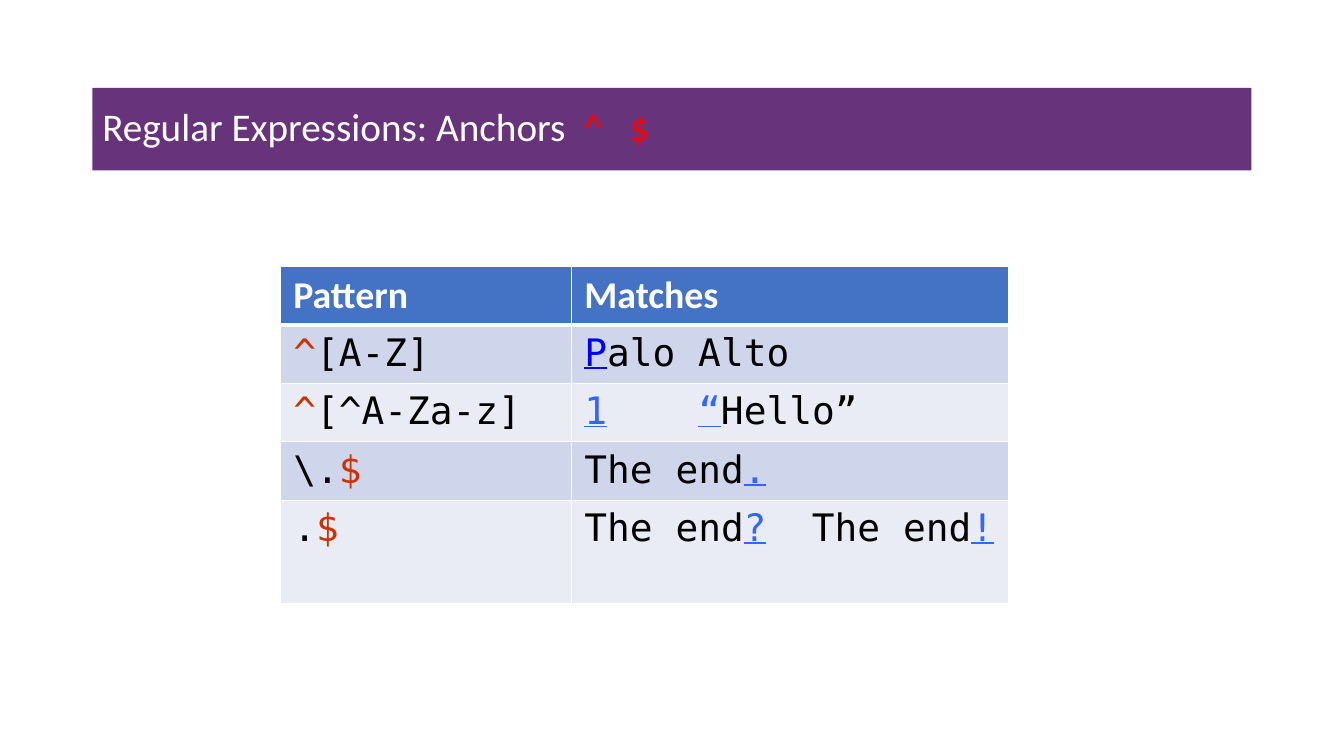
import pptx
import pptx.util
import pptx.dml.color
import pptx.enum.shapes
import pptx.enum.text
import pptx.oxml.ns
from lxml import etree

Pt = pptx.util.Pt
COLORS = {
    "white": "FFFFFF", "black": "000000", "purple": "67337A",
    "header": "4472C4", "odd": "CFD5EA", "even": "E9EBF5",
    "red": "FF0000", "anchor": "CC3300", "link": "0000FF", "match": "3366FF",
}
MONO = "DejaVu Sans Mono"


def rgb(name):
    return pptx.dml.color.RGBColor.from_string(COLORS[name])


def write_runs(paragraph, pieces, font, size, tabs=()):
    """Add (text, color) runs, underlining matches, and set tab stops in points."""
    for text, color in pieces:
        run = paragraph.add_run()
        run.text = text
        run.font.name = font
        run.font.size = Pt(size)
        run.font.bold = font != MONO and color == "white" and size == 27
        run.font.underline = color in ("link", "match")
        run.font.color.rgb = rgb(color)
    if tabs:
        tab_list = etree.SubElement(paragraph._p.get_or_add_pPr(), pptx.oxml.ns.qn("a:tabLst"))
        for position in tabs:
            etree.SubElement(tab_list, pptx.oxml.ns.qn("a:tab"), pos=str(Pt(position)), algn="l")


presentation = pptx.Presentation()
presentation.slide_width, presentation.slide_height = Pt(960), Pt(540)
slide = presentation.slides.add_slide(presentation.slide_layouts[6])

# Title bar
title = slide.shapes.add_shape(
    pptx.enum.shapes.MSO_SHAPE.RECTANGLE, Pt(66), Pt(62.7), Pt(828), Pt(59))
title.shadow.inherit = False
title.fill.solid()
title.fill.fore_color.rgb = rgb("purple")
title.line.fill.background()
title.text_frame.word_wrap = True
title.text_frame.vertical_anchor = pptx.enum.text.MSO_ANCHOR.MIDDLE
paragraph = title.text_frame.paragraphs[0]
paragraph.alignment = pptx.enum.text.PP_ALIGN.LEFT
paragraph.line_spacing = 0.9
write_runs(paragraph, [("Regular Expressions: Anchors", "white"), ("\t^\t$", "red")],
           "Calibri", 28, (343.7, 376.6))

# Table content: the runs of each cell, then the tab stops of the second column
ROWS = [
    ([("Pattern", "white")], [("Matches", "white")], ()),
    ([("^", "anchor"), ("[A-Z]", "black")],
     [("P", "link"), ("alo Alto", "black")], ()),
    ([("^", "anchor"), ("[^A-Za-z]", "black")],
     [("1", "match"), ("\t", "black"), ("“", "match"), ("Hello”", "black")], (81.3,)),
    ([("\\.", "black"), ("$", "anchor")],
     [("The end", "black"), (".", "match")], ()),
    ([(".", "black"), ("$", "anchor")],
     [("The end", "black"), ("?", "match"), ("\tThe end", "black"), ("!", "match")], (162.5,)),
]
COLUMN_WIDTHS = [208, 312]
ROW_HEIGHTS = [41.8] * 4 + [73.4]

# Table
table = slide.shapes.add_table(
    len(ROWS), 2, Pt(200.3), Pt(190.3), Pt(sum(COLUMN_WIDTHS)), Pt(sum(ROW_HEIGHTS))).table
for column, width in zip(table.columns, COLUMN_WIDTHS):
    column.width = Pt(width)

for row_index, (pattern, matches, tabs) in enumerate(ROWS):
    table.rows[row_index].height = Pt(ROW_HEIGHTS[row_index])
    is_header = row_index == 0
    fill = "header" if is_header else "odd" if row_index % 2 else "even"
    for column_index, pieces in enumerate((pattern, matches)):
        cell = table.cell(row_index, column_index)
        cell.margin_left = cell.margin_right = Pt(9.2)
        cell.margin_top = cell.margin_bottom = Pt(4.4)
        write_runs(cell.text_frame.paragraphs[0], pieces, "Calibri" if is_header else MONO, 27,
                   tabs if column_index else ())
        # White borders, thicker below the header
        properties = cell._tc.get_or_add_tcPr()
        for side in ("lnL", "lnR", "lnT", "lnB"):
            width = 3 if is_header and side == "lnB" else 1
            border = etree.SubElement(properties, pptx.oxml.ns.qn("a:" + side), w=str(Pt(width)))
            line_fill = etree.SubElement(border, pptx.oxml.ns.qn("a:solidFill"))
            etree.SubElement(line_fill, pptx.oxml.ns.qn("a:srgbClr"), val=COLORS["white"])
        cell.fill.solid()
        cell.fill.fore_color.rgb = rgb(fill)

presentation.save("out.pptx")
